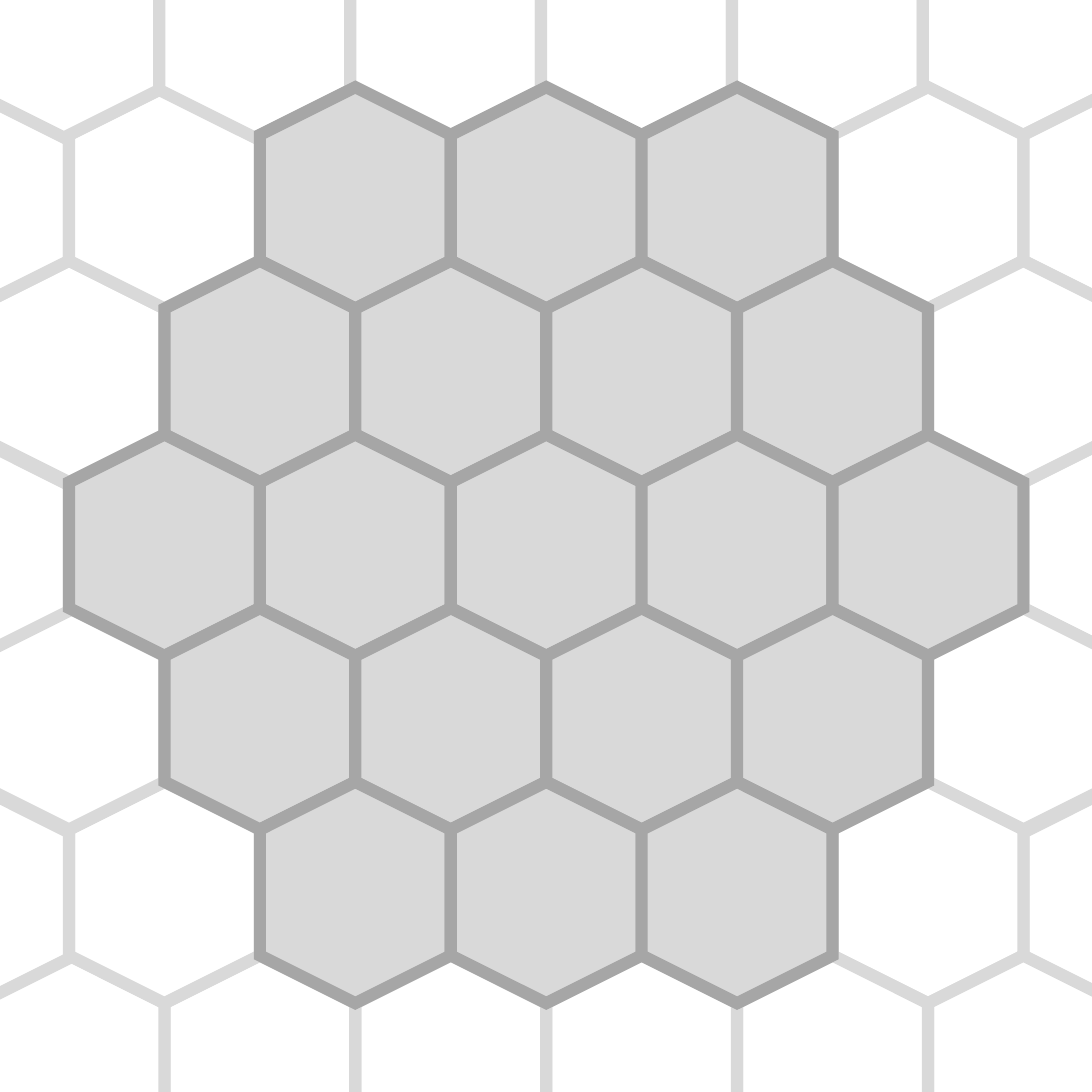
"""Build a honeycomb slide: a grey cluster of 19 cells on a field of pale outlines."""
from math import atan2, tau

from lxml.etree import SubElement
from pptx import Presentation
from pptx.dml.color import RGBColor
from pptx.enum.shapes import MSO_SHAPE
from pptx.oxml.ns import qn
from pptx.util import Cm, Pt

WHITE = RGBColor(0xFF, 0xFF, 0xFF)
PALE_GREY = RGBColor(0xD9, 0xD9, 0xD9)
MID_GREY = RGBColor(0xA6, 0xA6, 0xA6)

SIDE = 19.05
CENTRE_X, CENTRE_Y = 9.53, 9.51
CELL_LENGTH, CELL_WIDTH = 3.86, 3.33
COLUMN_STEP, ROW_STEP = 3.33, 3.03
LAST_ROW = 3
TOP_ROW_SHIFT = (-0.09, 0.05)
LOWERED_CELLS = {(0, -3), (2, -3), (2, 3)}

presentation = Presentation()
presentation.slide_width = presentation.slide_height = Cm(SIDE)
slide = presentation.slides.add_slide(presentation.slide_layouts[6])

field, cluster = [], []
for row in range(-LAST_ROW, LAST_ROW + 1):
    cells_in_row = 6 if row % 2 else 7
    cluster_reach = (4 - abs(row)) / 2 if abs(row) < LAST_ROW else -1
    for index in range(cells_in_row):
        column = index - (cells_in_row - 1) / 2
        ring = cluster if abs(column) <= cluster_reach else field
        ring.append((row, column))
field.sort(key=lambda cell: atan2(*cell) % tau)

honeycomb = slide.shapes.add_group_shape()
for cells, fill_colour, edge_colour in (
    (field, WHITE, PALE_GREY),
    (cluster, PALE_GREY, MID_GREY),
):
    for row, column in cells:
        shift_x, shift_y = TOP_ROW_SHIFT if row == -LAST_ROW else (0, 0)
        if (row, column) in LOWERED_CELLS:
            shift_y = 0.05
        left = CENTRE_X + column * COLUMN_STEP - CELL_LENGTH / 2 + shift_x
        top = CENTRE_Y + row * ROW_STEP - CELL_WIDTH / 2 + shift_y
        cell = honeycomb.shapes.add_shape(
            MSO_SHAPE.HEXAGON, Cm(left), Cm(top), Cm(CELL_LENGTH), Cm(CELL_WIDTH)
        )
        cell.rotation = 270
        cell.shadow.inherit = False
        cell.fill.solid()
        cell.fill.fore_color.rgb = fill_colour
        cell.line.color.rgb = edge_colour
        cell.line.width = Pt(6)
        SubElement(cell.line._get_or_add_ln(), qn("a:miter"), lim="800000")

presentation.save("out.pptx")
